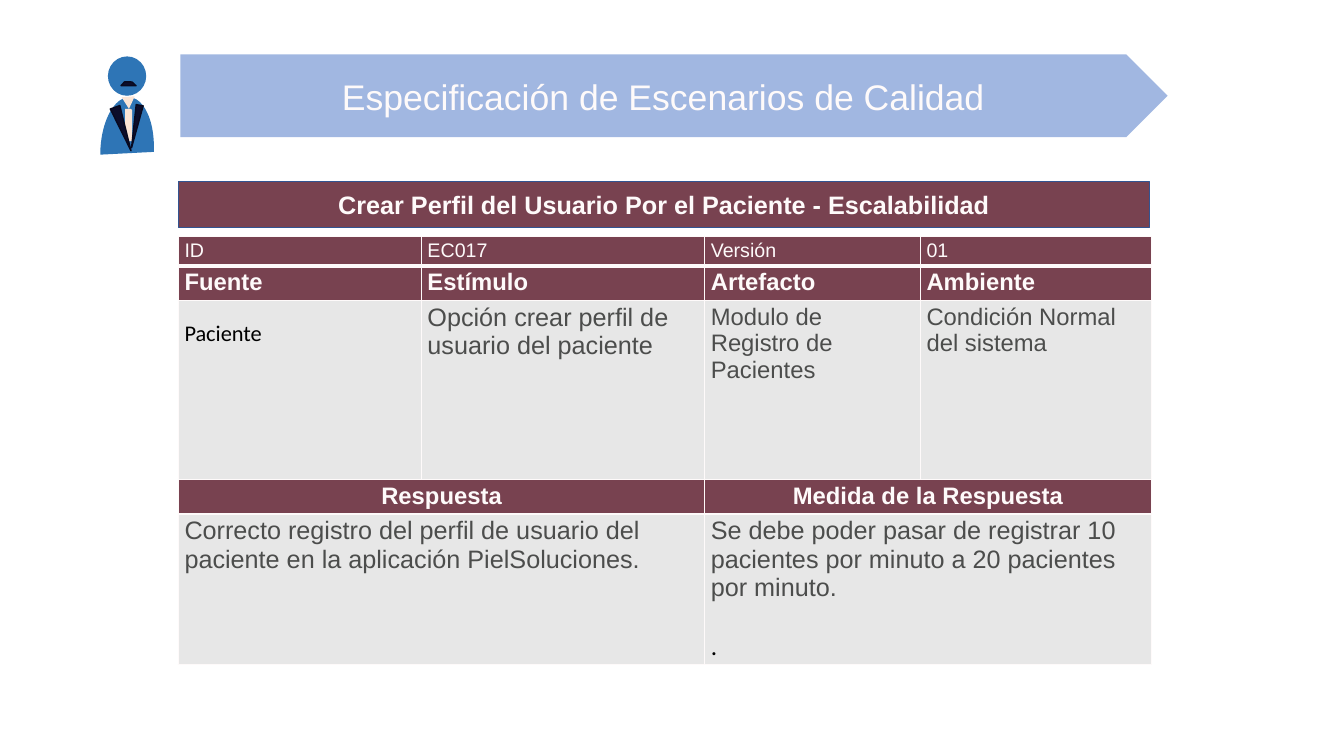
from lxml.etree import SubElement
from pptx import Presentation
from pptx.dml.color import RGBColor
from pptx.enum.shapes import MSO_SHAPE
from pptx.enum.text import MSO_ANCHOR, PP_ALIGN
from pptx.oxml.ns import qn
from pptx.util import Inches, Pt

COLORS = {
    "banner": "7395D3", "wine": "784250", "gray": "E7E7E7", "white": "FEFAFA",
    "body": "4C4D4C", "black": "000000", "blue": "2E75B6", "skin": "FBE5D6",
    "suit": "0C0D2B", "suit_line": "08091F", "title_line": "325491",
}


class ScenarioSlide:
    def __init__(self, presentation):
        self.slide = presentation.slides.add_slide(presentation.slide_layouts[6])

    def color(self, name):
        return RGBColor.from_string(COLORS[name])

    def shape(self, kind, box, fill, line=None, rotation=0, adjustments=(), shapes=None):
        shapes = self.slide.shapes if shapes is None else shapes
        shape = shapes.add_shape(kind, *map(Inches, box))
        shape.shadow.inherit = False
        shape.rotation = rotation
        for index, value in enumerate(adjustments):
            shape.adjustments[index] = value
        shape.fill.solid()
        shape.fill.fore_color.rgb = self.color(fill)
        if line:
            shape.line.color.rgb = self.color(line)
            shape.line.width = Pt(1)
        else:
            shape.line.fill.background()
        return shape

    def transparency(self, shape, percent):
        color = shape.fill._xPr.find(qn("a:solidFill"))[0]
        SubElement(color, qn("a:alpha")).set("val", str((100 - percent) * 1000))

    def text(self, text_frame, text, size, color, bold=False, centered=False, font="Arial"):
        text_frame.word_wrap = True
        text_frame.text = text
        for paragraph in text_frame.paragraphs:
            paragraph.alignment = PP_ALIGN.CENTER if centered else PP_ALIGN.LEFT
            for run in paragraph.runs:
                self.font(run, size, color, bold, font)

    def font(self, run, size, color, bold=False, name="Arial"):
        run.font.size = Pt(size)
        run.font.name = name
        run.font.bold = bold
        run.font.color.rgb = self.color(color)

    def label(self, shape, text, size, bold=False):
        shape.text_frame.vertical_anchor = MSO_ANCHOR.MIDDLE
        self.text(shape.text_frame, text, size, "white", bold, centered=True)

    def border(self, cell, side, width):
        line = SubElement(cell._tc.get_or_add_tcPr(), qn(f"a:ln{side}"), w=str(Pt(width)))
        fill = SubElement(line, qn("a:solidFill"))
        SubElement(fill, qn("a:srgbClr"), val=COLORS["white"])

    def table(self, box, widths, heights):
        frame = self.slide.shapes.add_table(len(heights), len(widths), *map(Inches, box))
        table = frame.table
        for column, width in zip(table.columns, widths):
            column.width = Inches(width)
        for row, height in zip(table.rows, heights):
            row.height = Inches(height)
        return table

    def cell(self, cell, fill, thick_side=None):
        cell.margin_left = cell.margin_right = Inches(0.06)
        cell.margin_top = cell.margin_bottom = Inches(0.03)
        for side in "LRTB":
            self.border(cell, side, 3 if side == thick_side else 0.96)
        cell.fill.solid()
        cell.fill.fore_color.rgb = self.color(fill)

    def analyst(self):
        shapes = self.slide.shapes.add_group_shape().shapes
        parts = [
            (MSO_SHAPE.OVAL, (1.07, 0.56, 0.38, 0.39), "blue", None, 0, ()),
            (MSO_SHAPE.CHORD, (0.73, 1.23, 1.06, 0.53), "blue", None, 92.7, (47.22, 162)),
            (MSO_SHAPE.ISOSCELES_TRIANGLE, (1.21, 0.96, 0.13, 0.12), "skin", None, 176.1, ()),
            (MSO_SHAPE.SNIP_2_DIAG_RECTANGLE, (1.24, 1.08, 0.07, 0.32), "skin", None, 0, (0, 0.17)),
            (MSO_SHAPE.ISOSCELES_TRIANGLE, (1.17, 1.05, 0.1, 0.46), "suit", "suit_line", 159.9, ()),
            (MSO_SHAPE.ISOSCELES_TRIANGLE, (1.31, 1.04, 0.07, 0.43), "suit", "suit_line", 190.8, ()),
            (MSO_SHAPE.DIAGONAL_STRIPE, (1.22, 0.8, 0.11, 0.1), "suit", "suit_line", 42.8, ()),
        ]
        for part in parts:
            self.shape(*part, shapes=shapes)

    def scenario(self):
        table = self.table((1.77, 2.35, 9.65, 4.24), (2.41, 2.81, 2.14, 2.29),
                           (0.29, 0.34, 1.78, 0.34, 1.49))
        rows = [
            ("ID", "EC017", "Versión", "01"),
            ("Fuente", "Estímulo", "Artefacto", "Ambiente"),
            ("Paciente", "Opción crear perfil de usuario del paciente",
             "Modulo de Registro de Pacientes", "Condición Normal del sistema"),
            ("Respuesta", None, "Medida de la Respuesta", None),
            ("Correcto registro del perfil de usuario del paciente en la aplicación "
             "PielSoluciones.", None,
             "Se debe poder pasar de registrar 10 pacientes por minuto a 20 pacientes "
             "por minuto.\n.", None),
        ]
        styles = [
            ("wine", 14, "white", False), ("wine", 17, "white", True),
            ("gray", 17, "body", False), ("wine", 17, "white", True),
            ("gray", 18, "body", False),
        ]
        for row, (texts, (fill, size, color, bold)) in enumerate(zip(rows, styles)):
            for column, text in enumerate(texts):
                cell = table.cell(row, column)
                self.cell(cell, fill, {0: "B", 1: "T"}.get(row))
                if text is None:
                    table.cell(row, column - 1).merge(cell)
                else:
                    self.text(cell.text_frame, text, size, color, bold, centered=row == 3)

        source = table.cell(2, 0)
        source.margin_top = Inches(0.2)
        self.font(source.text_frame.paragraphs[0].runs[0], 16, "black", name="Calibri")
        stimulus = table.cell(2, 1).text_frame.paragraphs[0]
        stimulus.runs[0].font.size = Pt(18)
        closing = table.cell(4, 2).text_frame.paragraphs[1]
        closing.space_before = Pt(21)
        self.font(closing.runs[0], 18, "black", name="Calibri")


def main():
    presentation = Presentation()
    presentation.slide_width = Inches(13.33)
    presentation.slide_height = Inches(7.5)
    page = ScenarioSlide(presentation)
    banner = page.shape(MSO_SHAPE.PENTAGON, (1.79, 0.54, 9.79, 0.82), "banner")
    page.transparency(banner, 33)
    page.label(banner, "Especificación de Escenarios de Calidad", 25.4)
    page.analyst()
    page.scenario()
    title = page.shape(MSO_SHAPE.RECTANGLE, (1.77, 1.8, 9.63, 0.46), "wine", "title_line")
    page.label(title, "Crear Perfil del Usuario Por el Paciente - Escalabilidad", 18, True)
    presentation.save("out.pptx")


if __name__ == "__main__":
    main()
